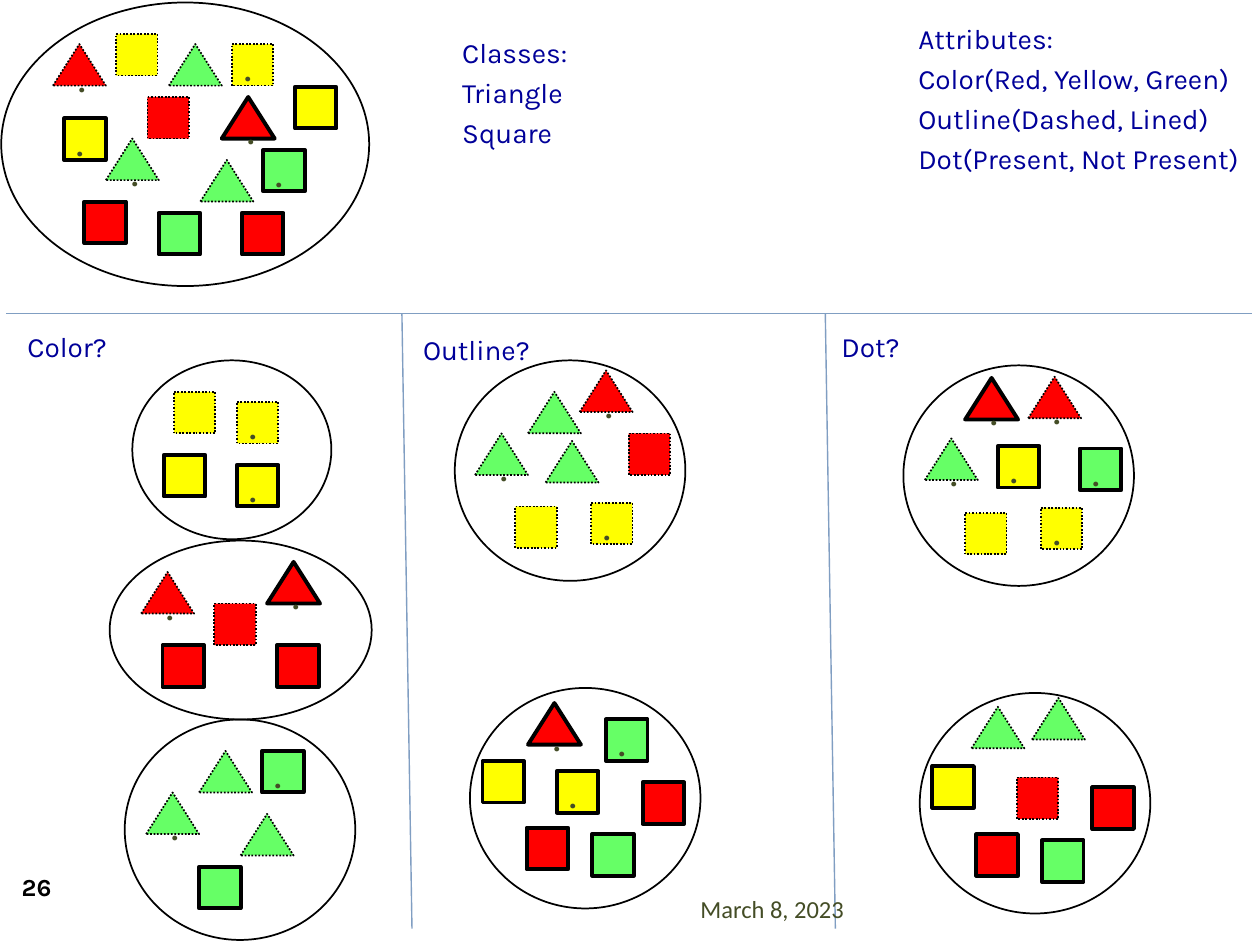
"""Build a slide that sorts triangles and squares by color, outline and dot."""
from lxml import etree
from pptx import Presentation, util as u
from pptx.dml.color import RGBColor
from pptx.enum import dml, shapes, text
from pptx.oxml.ns import qn

COLS, ROWS = 1000, 750
CELL = u.Inches(0.01)
HUES = {"R": "FF0000", "Y": "FFFF00", "G": "66FF66", "ink": "000000",
        "head": "000099", "dot": "444D26", "rule": "809EC2"}
KINDS = {"T": (shapes.MSO_SHAPE.ISOSCELES_TRIANGLE, 42, 33),
         "S": (shapes.MSO_SHAPE.RECTANGLE, 33, 33)}

# Piece code: Triangle or Square; Red, Yellow or Green; dashed (-) or lined (=); dot (.)
SETS = [
    ((1, 2, 292, 225), [
        ("TR=.", 176, 77), ("SY-", 92, 27), ("TR-.", 42, 35), ("TG-", 159, 127),
        ("TG-", 134, 35), ("TG-.", 84, 110), ("SR-", 117, 77), ("SY=", 234, 69),
        ("SY=.", 51, 94), ("SR=", 67, 160), ("SY-.", 184, 35), ("SG=", 126, 169),
        ("SG=.", 209, 119), ("SR=", 192, 169)]),
    ((87, 429, 208, 142), [
        ("TR=.", 212, 446), ("TR-.", 112, 454), ("SR-", 170, 479),
        ("SR=", 129, 512), ("SR=", 220, 512)]),
    ((99, 571, 183, 175), [
        ("TG-", 191, 646), ("TG-", 158, 596), ("TG-.", 116, 629),
        ("SG=", 158, 688), ("SG=.", 208, 596)]),
    ((105, 286, 158, 142), [
        ("SY-", 138, 311), ("SY=", 130, 361), ("SY=.", 188, 369), ("SY-.", 188, 319)]),
    ((361, 286, 183, 175), [
        ("TG-", 433, 350), ("TG-", 419, 311), ("TG-.", 377, 344), ("SY-", 409, 402),
        ("SY-.", 469, 399), ("TR-.", 460, 294), ("SR-", 499, 344)]),
    ((373, 546, 183, 175), [
        ("SG=", 470, 662), ("SG=.", 481, 571), ("SY=", 383, 604), ("SY=.", 442, 612),
        ("TR=.", 419, 558), ("SR=", 418, 657), ("SR=", 510, 621)]),
    ((717, 290, 183, 175), [
        ("TG-.", 734, 348), ("SG=.", 857, 356), ("SY-", 766, 407), ("SY-.", 826, 403),
        ("SY=.", 792, 354), ("TR=.", 766, 300), ("TR-.", 816, 299)]),
    ((730, 550, 183, 175), [
        ("TG-", 771, 561), ("TG-", 819, 554), ("SG=", 827, 667), ("SY=", 740, 608),
        ("SR=", 775, 662), ("SR=", 867, 625), ("SR-", 807, 617)]),
]
HEADS = [
    ((719, 12, 281, 142), ["Attributes:", "Color(Red, Yellow, Green)",
                           "Outline(Dashed, Lined)", "Dot(Present, Not Present)"]),
    ((357, 23, 281, 142), ["Classes:", "Triangle", "Square"]),
    ((12, 257, 93, 36), ["Color?"]),
    ((326, 259, 107, 36), ["Outline?"]),
    ((658, 257, 107, 36), ["Dot?"]),
]
RULES = [(5, 249, 994, 249), (327, 737, 319, 249), (663, 737, 655, 249)]

deck = Presentation()
deck.slide_width, deck.slide_height = COLS * CELL, ROWS * CELL
slide = deck.slides.add_slide(deck.slide_layouts[6])


def rgb(hue):
    return RGBColor.from_string(HUES[hue])


def scale(box):
    return [n * CELL for n in box]


def style(par, size, hue, face="Karla", bold=False, align=text.PP_ALIGN.LEFT):
    par.alignment = align
    font = par.font
    font.size, font.name, font.bold = u.Pt(size), face, bold
    font.color.rgb = rgb(hue)


def draw(kind, box, width):
    shape = slide.shapes.add_shape(kind, *scale(box))
    shape.shadow.inherit = False
    shape.fill.background()
    shape.line.color.rgb = rgb("ink")
    shape.line.width = u.Pt(width)
    return shape


def piece(code, x, y):
    kind, w, h = KINDS[code[0]]
    dashed = "-" in code
    shape = draw(kind, (x, y, w, h), 1 if dashed else 2.25)
    shape.fill.solid()
    shape.fill.fore_color.rgb = rgb(code[1])
    if dashed:
        shape.line.dash_style = dml.MSO_LINE.ROUND_DOT
    if "." in code:
        frame = shape.text_frame
        frame.word_wrap = False
        frame.vertical_anchor = text.MSO_ANCHOR.MIDDLE
        frame.text = "."
        style(frame.paragraphs[0], 24, "dot")


def label(box, lines, size, hue, anchor=text.MSO_ANCHOR.TOP, **look):
    frame = slide.shapes.add_textbox(*scale(box)).text_frame
    frame.word_wrap = True
    frame.vertical_anchor = anchor
    frame.text = "\n".join(lines)
    for par in frame.paragraphs:
        style(par, size, hue, **look)
        par.space_before = u.Pt(0.23 * size)


for oval, pieces in SETS:
    for item in pieces:
        piece(*item)
    draw(shapes.MSO_SHAPE.OVAL, oval, 1)

for ends in RULES:
    rule = slide.shapes.add_connector(shapes.MSO_CONNECTOR.STRAIGHT, *scale(ends))
    rule.line.color.rgb = rgb("rule")
    rule.line.width = u.Pt(0.79)
    etree.SubElement(rule._element.spPr, qn("a:effectLst"))

for box, lines in HEADS:
    label(box, lines, 16, "head")
mid = text.MSO_ANCHOR.MIDDLE
label((0, 683, 58, 42), ["26"], 14, "ink", mid, bold=True, align=text.PP_ALIGN.CENTER)
label((546, 701, 292, 40), ["March 8, 2023"], 14, "dot", mid, face="Calibri")

deck.save("out.pptx")
